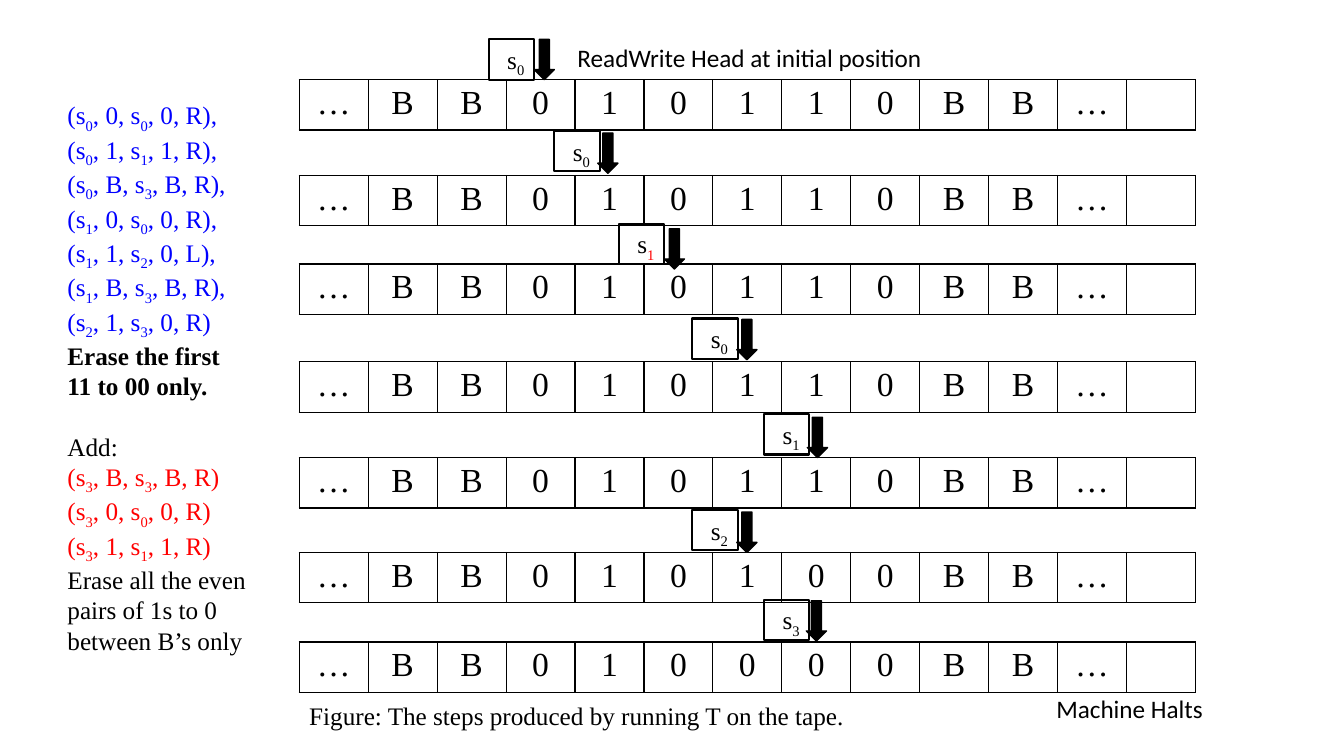
"""Build a slide that traces a Turing machine step by step on its tape."""
from lxml import etree
from pptx import Presentation
from pptx.dml.color import RGBColor
from pptx.enum.shapes import MSO_SHAPE
from pptx.enum.text import MSO_ANCHOR, PP_ALIGN
from pptx.oxml.ns import qn
from pptx.util import Pt

DOWN_ARROW = MSO_SHAPE.DOWN_ARROW
TOP = MSO_ANCHOR.TOP
LEFT, CENTER, RIGHT = PP_ALIGN.LEFT, PP_ALIGN.CENTER, PP_ALIGN.RIGHT
BLACK, WHITE, BLUE, RED = "000000", "FFFFFF", "0000FF", "FF0000"
SERIF, SANS = "Times New Roman", "Calibri"

# (tape symbols, tape top, state, subscript colour, state left, state top, arrow left, arrow top)
STEPS = [
    ("…BB010110BB…", 56.9, "s_0", BLACK, 349.2, 28.1, 381.6, 28.1),
    ("…BB010110BB…", 125.3, "s_0", BLACK, 396, 93.6, 427, 95),
    ("…BB010110BB…", 188.6, "s_1", RED, 442.1, 159.8, 474.5, 163.4),
    ("…BB010110BB…", 258.5, "s_0", BLACK, 494.6, 227.5, 526.3, 228.2),
    ("…BB010110BB…", 326.9, "s_1", BLACK, 545.8, 295.9, 576.7, 298.1),
    ("…BB010100BB…", 394.6, "s_2", BLACK, 494.6, 364.3, 526.3, 365.8),
    ("…BB010000BB…", 458.6, "s_3", BLACK, 545.8, 428.4, 576, 429.1),
]
RULES = [
    ("(s_0, 0, s_0, 0, R),", BLUE, False),
    ("(s_0, 1, s_1, 1, R),", BLUE, False),
    ("(s_0, B, s_3, B, R),", BLUE, False),
    ("(s_1, 0, s_0, 0, R),", BLUE, False),
    ("(s_1, 1, s_2, 0, L),", BLUE, False),
    ("(s_1, B, s_3, B, R),", BLUE, False),
    ("(s_2, 1, s_3, 0, R)", BLUE, False),
    ("Erase the first", BLACK, True),
    ("11 to 00 only.", BLACK, True),
    ("Add:", BLACK, False),
    ("(s_3, B, s_3, B, R)", RED, False),
    ("(s_3, 0, s_0, 0, R)", RED, False),
    ("(s_3, 1, s_1, 1, R)", RED, False),
    ("Erase all the even pairs of 1s to 0 between B’s only", BLACK, False),
]
LABELS = [
    ("Machine Halts", SANS, 747.4, 491.8, 121.7),
    ("ReadWrite Head at initial position", SANS, 405.4, 26.6, 275),
    ("Figure: The steps produced by running T on the tape.", SERIF, 213.8, 496.8, 509.8),
]
TAPE_LEFT, TAPE_WIDTH, TAPE_HEIGHT, CELL_COUNT = 213.8, 640.1, 36, 13
ARROW_WIDTH, STATE_WIDTH, ROW_HEIGHT = 14.4, 32.4, 28.8
BLANK_LINE = 21.7


def color(value):
    return RGBColor.from_string(value)


def style(paragraph, size, font_name, font_color, align=LEFT, bold=False):
    paragraph.alignment = align
    font = paragraph.font
    font.size, font.name, font.bold = Pt(size), font_name, bold
    font.color.rgb = color(font_color)


def add_runs(paragraph, text, subscript_color=None):
    first, *rest = text.split("_")
    paragraph.add_run().text = first
    for piece in rest:
        subscript = paragraph.add_run()
        subscript.text = piece[0]
        subscript.font._element.set("baseline", "-25000")
        if subscript_color:
            subscript.font.color.rgb = color(subscript_color)
        if piece[1:]:
            paragraph.add_run().text = piece[1:]


def add_box(slide, left, top, width, height):
    box = slide.shapes.add_textbox(Pt(left), Pt(top), Pt(width), Pt(height))
    box.text_frame.word_wrap = True
    box.text_frame.vertical_anchor = TOP
    return box


def add_borders(cell):
    properties = cell._tc.get_or_add_tcPr()
    for side in ("a:lnL", "a:lnR", "a:lnT", "a:lnB"):
        line = etree.SubElement(properties, qn(side), w=str(Pt(1)))
        fill = etree.SubElement(line, qn("a:solidFill"))
        etree.SubElement(fill, qn("a:srgbClr"), val=BLACK)


def add_tape(slide, symbols, top):
    table = slide.shapes.add_table(
        1, CELL_COUNT, Pt(TAPE_LEFT), Pt(top), Pt(TAPE_WIDTH), Pt(TAPE_HEIGHT)
    ).table
    table.first_row = table.horz_banding = False
    for column in table.columns:
        column.width = Pt(TAPE_WIDTH / CELL_COUNT)
    for cell, symbol in zip(table.iter_cells(), symbols.ljust(CELL_COUNT)):
        add_borders(cell)
        cell.fill.solid()
        cell.fill.fore_color.rgb = color(WHITE)
        cell.text = symbol.strip()
        style(cell.text_frame.paragraphs[0], 24, SERIF, BLACK, CENTER)


def add_arrow(slide, left, top):
    arrow = slide.shapes.add_shape(
        DOWN_ARROW, Pt(left), Pt(top), Pt(ARROW_WIDTH), Pt(ROW_HEIGHT)
    )
    arrow.shadow.inherit = False
    arrow.fill.solid()
    arrow.fill.fore_color.rgb = color(BLACK)
    arrow.line.color.rgb = color(BLACK)
    arrow.line.width = Pt(1)


def add_state(slide, state, subscript_color, left, top):
    box = add_box(slide, left, top, STATE_WIDTH, ROW_HEIGHT)
    box.line.color.rgb = color(BLACK)
    box.line.width = Pt(1.5)
    paragraph = box.text_frame.paragraphs[0]
    style(paragraph, 18, SERIF, BLACK, RIGHT)
    add_runs(paragraph, state, subscript_color)


def add_rules(slide):
    frame = add_box(slide, 23, 67.7, 173.5, 378).text_frame
    frame.margin_left = Pt(25.2)
    for index, (text, font_color, bold) in enumerate(RULES):
        paragraph = frame.add_paragraph() if index else frame.paragraphs[0]
        style(paragraph, 18, SERIF, font_color, bold=bold)
        add_runs(paragraph, text)
        if text == "Add:":
            paragraph.space_before = Pt(BLANK_LINE)


presentation = Presentation()
presentation.slide_width, presentation.slide_height = Pt(960), Pt(540)
slide = presentation.slides.add_slide(presentation.slide_layouts[6])
for symbols, tape_top, state, subscript_color, state_left, state_top, arrow_left, arrow_top in STEPS:
    add_tape(slide, symbols, tape_top)
    add_arrow(slide, arrow_left, arrow_top)
    add_state(slide, state, subscript_color, state_left, state_top)
for text, font_name, left, top, width in LABELS:
    paragraph = add_box(slide, left, top, width, ROW_HEIGHT).text_frame.paragraphs[0]
    style(paragraph, 18, font_name, BLACK)
    add_runs(paragraph, text)
add_rules(slide)
presentation.save("out.pptx")
